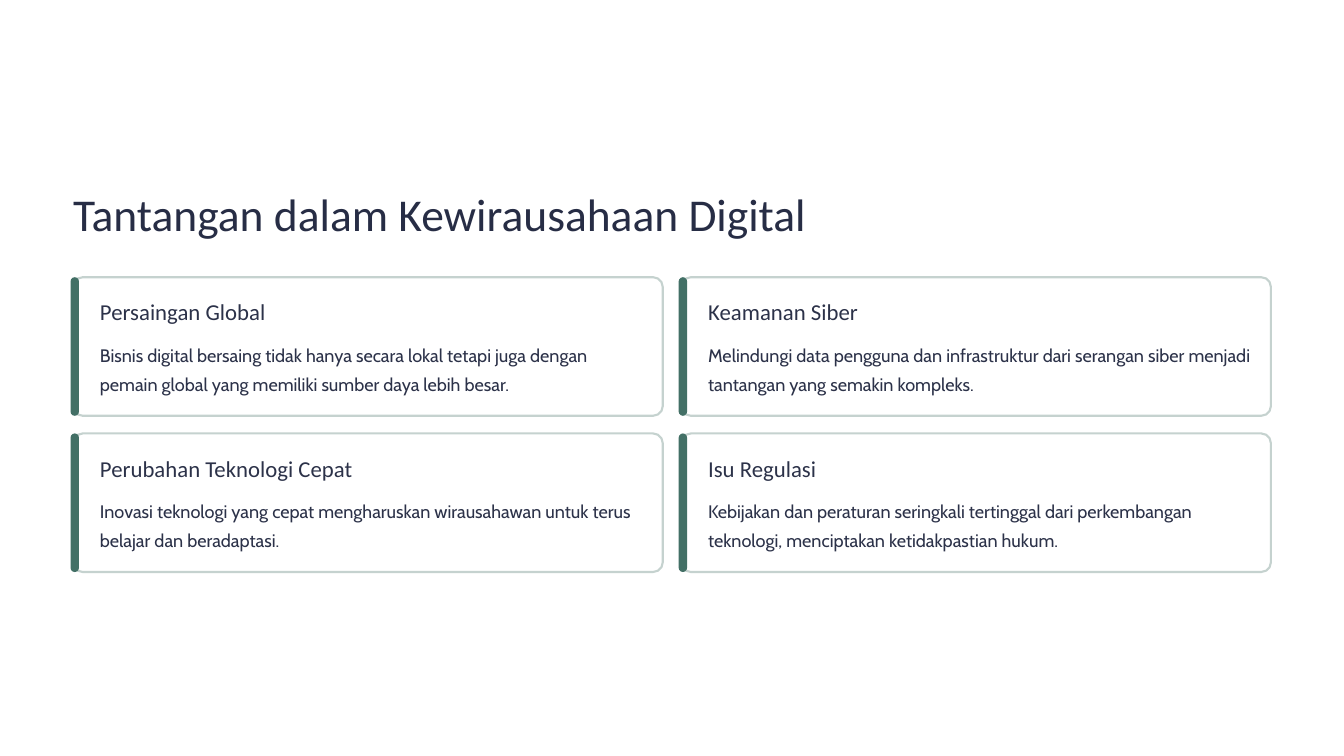
from pptx import Presentation
from pptx import util as u
from pptx.dml.color import RGBColor
from pptx.enum import shapes, text

EMU_PER_PX = 9144
WHITE, NAVY, SLATE = "FFFFFF", "272D45", "2C3249"
GREEN, BORDER = "437066", "C5D2CF"
TITLE = {"name": "Calibri", "size": u.Pt(39)}
HEADING = {"name": "Calibri", "size": u.Pt(19.5)}
BODY = {"name": "Cabin", "size": u.Pt(15.5)}
FRAME = {"margin_left": 0, "margin_top": 0, "margin_right": 0,
         "margin_bottom": 0, "word_wrap": True,
         "auto_size": text.MSO_AUTO_SIZE.NONE,
         "vertical_anchor": text.MSO_ANCHOR.TOP}
CARDS = [
    ("Persaingan Global", 271,
     "Bisnis digital bersaing tidak hanya secara lokal tetapi juga dengan "
     "pemain global yang memiliki sumber daya lebih besar."),
    ("Keamanan Siber", 271,
     "Melindungi data pengguna dan infrastruktur dari serangan siber menjadi "
     "tantangan yang semakin kompleks."),
    ("Perubahan Teknologi Cepat", 328,
     "Inovasi teknologi yang cepat mengharuskan wirausahawan untuk terus "
     "belajar dan beradaptasi."),
    ("Isu Regulasi", 271,
     "Kebijakan dan peraturan seringkali tertinggal dari perkembangan "
     "teknologi, menciptakan ketidakpastian hukum."),
]


def px(*lengths):
    """Turn px lengths into EMU."""
    return [u.Emu(length * EMU_PER_PX) for length in lengths]


def paint(color_format, color):
    """Give a colour format a hex colour."""
    color_format.rgb = RGBColor.from_string(color)


def apply(target, values):
    """Set each attribute of a dict on the target."""
    for key, value in values.items():
        setattr(target, key, value)


def write(box, wording, font, color, spacing):
    """Write one formatted paragraph into a box."""
    apply(box.text_frame, FRAME)
    paragraph = box.text_frame.paragraphs[0]
    apply(paragraph, {"alignment": text.PP_ALIGN.LEFT,
                      "line_spacing": u.Pt(spacing)})
    run = paragraph.add_run()
    run.text = wording
    apply(run.font, font)
    paint(run.font.color, color)


def add_panel(slide, box, rounding, fill, border=None):
    """Add a rounded panel with an optional border."""
    panel = slide.shapes.add_shape(
        shapes.MSO_SHAPE.ROUNDED_RECTANGLE, *px(*box))
    panel.shadow.inherit = False
    panel.adjustments[0] = rounding
    panel.fill.solid()
    paint(panel.fill.fore_color, fill)
    if border:
        panel.line.width = u.Pt(1.8)
        paint(panel.line.color, border)
    else:
        panel.line.fill.background()


def add_label(slide, box, wording, font, spacing):
    """Add a text box with one paragraph."""
    label = slide.shapes.add_textbox(*px(*box))
    write(label, wording, font, SLATE, spacing)


def add_card(slide, left, top, heading, heading_width, body):
    """Add a bordered card with an accent bar, heading and body."""
    add_panel(slide, (left, top, 702, 165), 0.07, WHITE, BORDER)
    add_panel(slide, (left - 3, top, 10, 165), 0.5, GREEN)
    add_label(slide, (left + 32, top + 24, heading_width, 34),
              heading, HEADING, 24)
    add_label(slide, (left + 32, top + 71, 646, 69), body, BODY, 25)


def main():
    """Build the slide and save it."""
    deck = Presentation()
    deck.slide_width, deck.slide_height = px(1600, 900)
    slide = deck.slides.add_slide(deck.slide_layouts[5])
    slide.background.fill.solid()
    paint(slide.background.fill.fore_color, WHITE)

    title = slide.shapes.title
    title.left, title.top, title.width, title.height = px(87, 219, 954, 68)
    write(title, "Tantangan dalam Kewirausahaan Digital", TITLE, NAVY, 48.5)

    for index, card in enumerate(CARDS):
        row, column = divmod(index, 2)
        add_card(slide, 87 + column * 724, 330 + row * 186, *card)
    deck.save("out.pptx")


if __name__ == "__main__":
    main()
